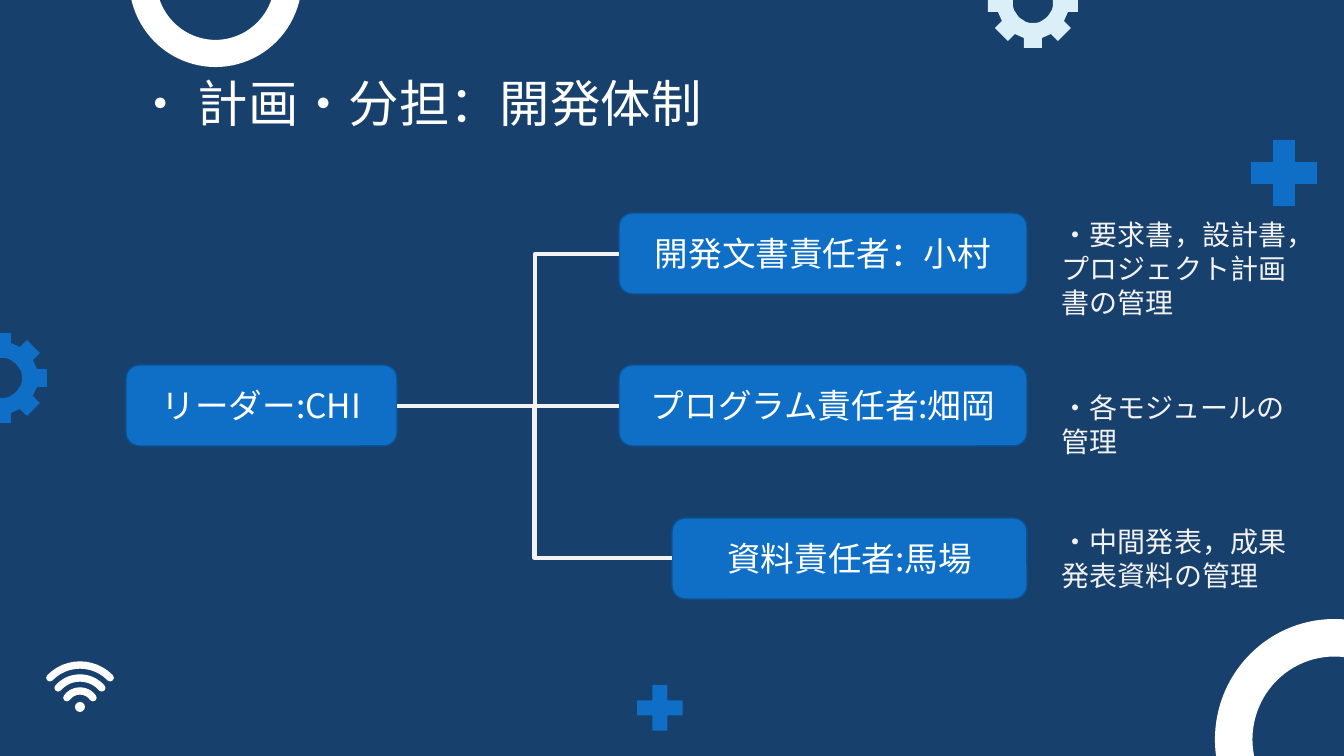
from math import cos, radians, sin

from lxml.etree import SubElement
from pptx import Presentation
from pptx.dml.color import RGBColor
from pptx.enum.shapes import MSO_CONNECTOR, MSO_SHAPE
from pptx.enum.text import MSO_ANCHOR, PP_ALIGN
from pptx.oxml.ns import qn
from pptx.util import Pt

PX = 914400 / 100.8
FONT = "Noto Sans CJK JP"
COLORS = {name: RGBColor.from_string(value) for name, value in {
    "navy": "17406D", "blue": "0F6FC6", "edge": "0B5292",
    "white": "FFFFFF", "pale": "DBEFF9", "soft": "F2F2F2",
}.items()}

deck = Presentation()
deck.slide_width, deck.slide_height = round(1344 * PX), round(756 * PX)
page = deck.slides.add_slide(deck.slide_layouts[6])
page.background.fill.solid()
page.background.fill.fore_color.rgb = COLORS["navy"]


def add_preset(kind, left, top, width, height, color):
    shape = page.shapes.add_shape(kind, *(round(n * PX) for n in (left, top, width, height)))
    shape.shadow.inherit = False
    shape.fill.solid()
    shape.fill.fore_color.rgb = COLORS[color]
    shape.line.fill.background()
    return shape


def write(shape, text, size, color):
    para = shape.text_frame.paragraphs[0]
    para.text = text
    para.font.size = Pt(size)
    para.font.name = FONT
    para.font.color.rgb = COLORS[color]
    defaults = para._p.pPr.find(qn("a:defRPr"))
    SubElement(defaults, qn("a:ea")).set("typeface", FONT)
    return para


# Rings at the slide edges
for left, top, width, height in [(129, -108, 173, 175), (1215, 619, 239, 241)]:
    ring = add_preset(MSO_SHAPE.DONUT, left, top, width, height, "white")
    ring.adjustments[0] = 0.157

# Gears: eight teeth around a round hole
for center_x, center_y, color in [(2, 378, "blue"), (1033, 3, "pale")]:
    rim = []
    for tooth in range(8):
        turn = radians(45 * tooth)
        for reach, side in [(35, -9), (45, -9), (45, 9), (35, 9)]:
            rim.append((center_x + reach * cos(turn) - side * sin(turn),
                        center_y + reach * sin(turn) + side * cos(turn)))
    hole = [(center_x + 20 * cos(radians(a)), center_y + 20 * sin(radians(a)))
            for a in range(360, 0, -10)]
    builder = page.shapes.build_freeform(*rim[0], scale=PX)
    builder.add_line_segments(rim[1:], close=True)
    builder.move_to(*hole[0])
    builder.add_line_segments(hole[1:], close=True)
    gear = builder.convert_to_shape()
    gear.shadow.inherit = False
    gear.fill.solid()
    gear.fill.fore_color.rgb = COLORS[color]
    gear.line.fill.background()

# Wireless sign: concentric arcs above a dot
for radius, half_angle in [(42, 46), (29, 49), (16, 55)]:
    wave = add_preset(MSO_SHAPE.ARC, 80 - radius, 707 - radius, 2 * radius, 2 * radius, "white")
    wave.fill.background()
    # Arc angles are stored as 60000ths of a degree, adjustments as 100000ths
    wave.adjustments[0] = (270 - half_angle) * 0.6
    wave.adjustments[1] = (270 + half_angle) * 0.6
    wave.line.color.rgb = COLORS["white"]
    wave.line.width = Pt(5.25)
    wave._element.spPr.find(qn("a:ln")).set("cap", "rnd")
add_preset(MSO_SHAPE.OVAL, 75, 702, 10, 10, "white")

# Plus signs
for left, top, size in [(1239, 128, 90), (629, 677, 62)]:
    plus = add_preset(MSO_SHAPE.MATH_PLUS, left, top, size, size, "blue")
    plus.adjustments[0] = 0.241

# Title and notes on each role
for left, top, width, height, text, size, color in [
    (126, 69, 1092, 163, "• 計画・分担：開発体制", 36, "white"),
    (1052, 213, 264, 146, "・要求書，設計書，プロジェクト計画書の管理", 20, "soft"),
    (1052, 386, 264, 78, "・各モジュールの管理", 20, "soft"),
    (1052, 520, 264, 112, "・中間発表，成果発表資料の管理", 20, "soft"),
]:
    box = page.shapes.add_textbox(*(round(n * PX) for n in (left, top, width, height)))
    box.text_frame.word_wrap = True
    para = write(box, text, size, color)
    if size == 36:
        box.text_frame.margin_top = box.text_frame.margin_bottom = round(10 * PX)
        para.line_spacing = 0.9

# Team boxes
for left, top, width, text in [
    (126, 365, 271, "リーダー:CHI"),
    (619, 213, 408, "開発文書責任者：小村"),
    (619, 365, 408, "プログラム責任者:畑岡"),
    (672, 518, 355, "資料責任者:馬場"),
]:
    role = add_preset(MSO_SHAPE.ROUNDED_RECTANGLE, left, top, width, 81, "blue")
    role.line.color.rgb = COLORS["edge"]
    role.line.width = Pt(1)
    role.text_frame.word_wrap = True
    role.text_frame.vertical_anchor = MSO_ANCHOR.MIDDLE
    write(role, text, 24, "white").alignment = PP_ALIGN.CENTER

# Lines from the leader to the team
for kind, preset, *ends in [
    (MSO_CONNECTOR.ELBOW, "bentConnector3", 397, 406, 672, 558),
    (MSO_CONNECTOR.ELBOW, "bentConnector2", 619, 254, 535, 406),
    (MSO_CONNECTOR.STRAIGHT, "line", 619, 406, 535, 406),
]:
    link = page.shapes.add_connector(kind, *(round(n * PX) for n in ends))
    link.line.color.rgb = COLORS["soft"]
    link.line.width = Pt(3)
    properties = link._element.spPr
    properties.find(qn("a:prstGeom")).set("prst", preset)
    SubElement(properties, qn("a:effectLst"))

deck.save("out.pptx")
